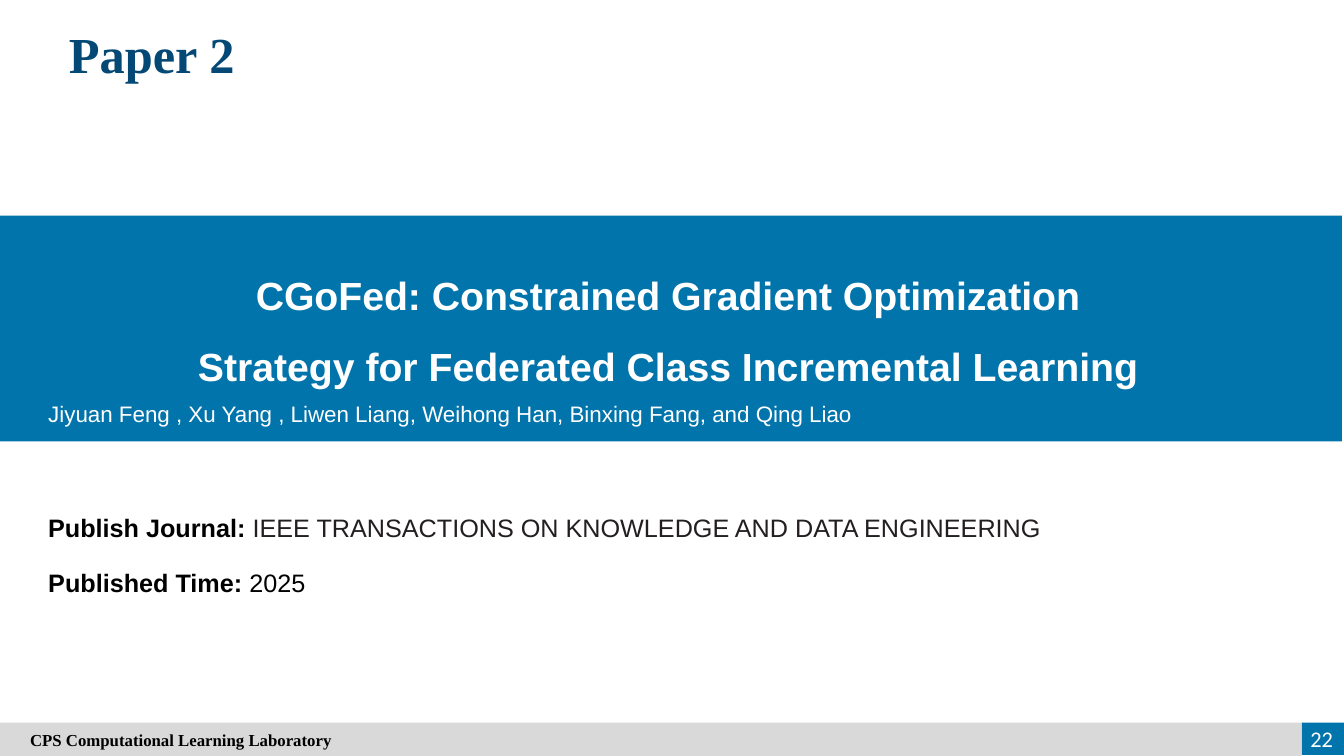
from pptx import Presentation
from pptx.dml.color import RGBColor
from pptx.enum.shapes import MSO_SHAPE
from pptx.enum.text import MSO_ANCHOR, PP_ALIGN
from pptx.util import Inches, Pt

RECTANGLE = MSO_SHAPE.RECTANGLE
TOP, MIDDLE = MSO_ANCHOR.TOP, MSO_ANCHOR.MIDDLE
LEFT, CENTER, RIGHT = PP_ALIGN.LEFT, PP_ALIGN.CENTER, PP_ALIGN.RIGHT

BLUE = RGBColor(0x01, 0x74, 0xAB)
NAVY = RGBColor(0x04, 0x48, 0x75)
GRAY = RGBColor(0xD9, 0xD9, 0xD9)
INK = RGBColor(0x23, 0x1F, 0x20)
BLACK = RGBColor(0, 0, 0)
WHITE = RGBColor(255, 255, 255)

SLIDE_WIDTH, SLIDE_HEIGHT = 13.33, 7.5
MARGIN = 0.38
FOOTER_TOP = 7.17
FOOTER_WIDTH = 12.91

BARS = [
    ((0, 2.14, 13.31, 2.24), BLUE),
    ((FOOTER_WIDTH, FOOTER_TOP, SLIDE_WIDTH - FOOTER_WIDTH, 0.32), BLUE),
    ((0, FOOTER_TOP, FOOTER_WIDTH, SLIDE_HEIGHT - FOOTER_TOP), GRAY),
]

HEADING = {"name": "Times New Roman", "size": Pt(36), "bold": True, "color": NAVY}
FOOTER = {"name": "Times New Roman", "size": Pt(12), "bold": True, "color": BLACK}
PAGE_NUMBER = {"name": "Calibri", "size": Pt(16), "bold": False, "color": WHITE}
PAPER_TITLE = {"name": "Arial", "size": Pt(28), "bold": True, "color": WHITE}
AUTHORS = {"name": "Arial", "size": Pt(16), "bold": False, "color": WHITE}
LABEL = {"name": "Arial", "size": Pt(18), "bold": True, "color": BLACK}
VALUE = {**LABEL, "bold": False}
JOURNAL = {**VALUE, "color": INK}

TEXTS = [
    ((MARGIN, 0.18, 2.25, 0.71), CENTER, TOP, 1, [[("Paper 2", HEADING)]]),
    ((0.2, FOOTER_TOP, 12.5, 0.33), LEFT, MIDDLE, 1,
     [[("CPS Computational Learning Laboratory", FOOTER)]]),
    ((12.69, 7.13, 0.63, 0.4), RIGHT, MIDDLE, 1, [[("22", PAGE_NUMBER)]]),
    ((MARGIN, 5.03, 11.97, 0.4), LEFT, TOP, 1,
     [[("Publish Journal: ", LABEL),
       ("IEEE TRANSACTIONS ON KNOWLEDGE AND DATA ENGINEERING", JOURNAL)]]),
    ((MARGIN, 5.58, 6.38, 0.4), LEFT, TOP, 1,
     [[("Published Time:", LABEL), (" 2025", VALUE)]]),
    ((0.13, 2.41, 12.99, 1.51), CENTER, TOP, 1.5,
     [[("CGoFed: Constrained Gradient Optimization", PAPER_TITLE)],
      [("Strategy for Federated Class Incremental Learning", PAPER_TITLE)]]),
    ((MARGIN, 3.92, 12.38, 0.37), LEFT, TOP, 1,
     [[("Jiyuan Feng , Xu Yang , Liwen Liang, Weihong Han, Binxing Fang, and Qing Liao",
        AUTHORS)]]),
]


def add_bar(slide, box, color):
    shape = slide.shapes.add_shape(RECTANGLE, *map(Inches, box))
    shape.shadow.inherit = False
    shape.fill.solid()
    shape.fill.fore_color.rgb = color
    shape.line.fill.background()


def add_text(slide, box, alignment, anchor, line_spacing, lines):
    frame = slide.shapes.add_textbox(*map(Inches, box)).text_frame
    frame.word_wrap = True
    frame.vertical_anchor = anchor
    for index, runs in enumerate(lines):
        paragraph = frame.add_paragraph() if index else frame.paragraphs[0]
        paragraph.alignment = alignment
        paragraph.line_spacing = line_spacing
        for text, style in runs:
            run = paragraph.add_run()
            run.text = text
            for attribute, value in style.items():
                if attribute == "color":
                    run.font.color.rgb = value
                else:
                    setattr(run.font, attribute, value)


def main():
    presentation = Presentation()
    presentation.slide_width = Inches(SLIDE_WIDTH)
    presentation.slide_height = Inches(SLIDE_HEIGHT)
    slide = presentation.slides.add_slide(presentation.slide_layouts[6])
    for bar in BARS:
        add_bar(slide, *bar)
    for text in TEXTS:
        add_text(slide, *text)
    presentation.save("out.pptx")


if __name__ == "__main__":
    main()
